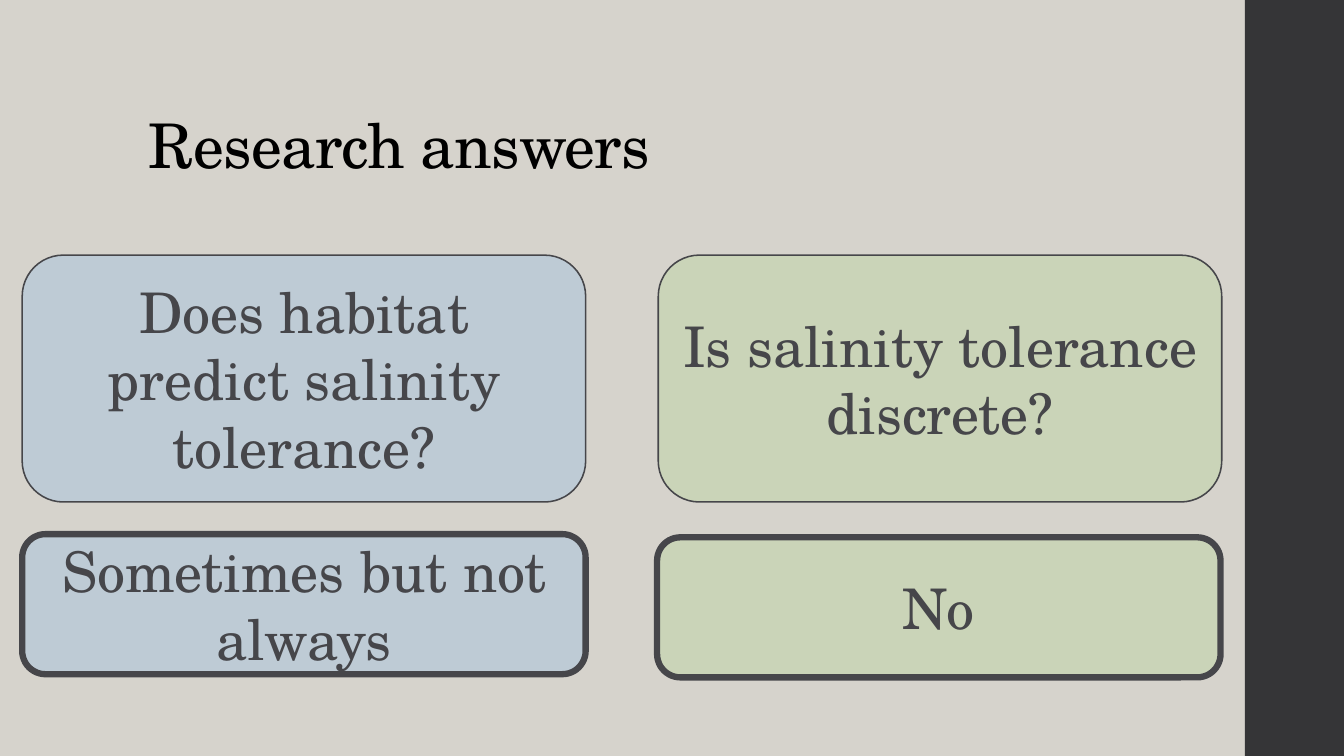
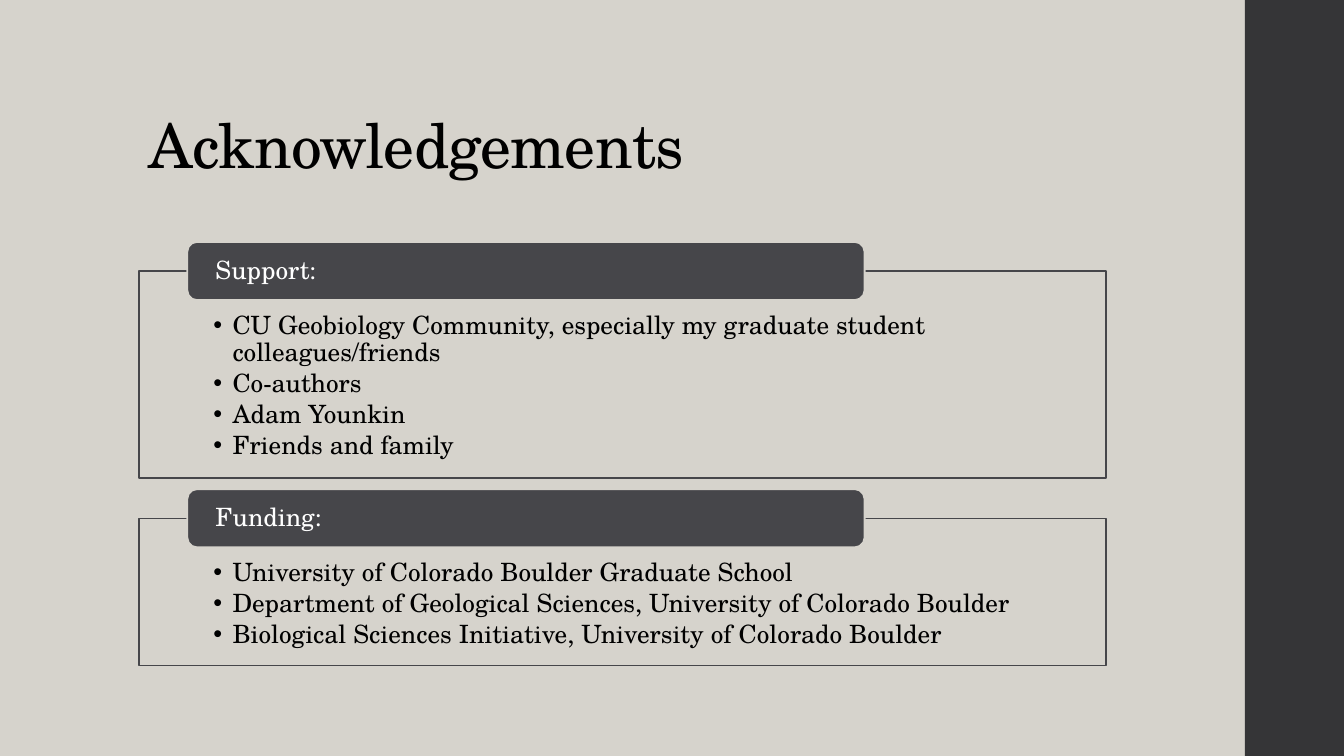
from dataclasses import dataclass

import pptx
import pptx.dml.color
import pptx.enum.shapes
import pptx.enum.text
import pptx.oxml
import pptx.oxml.ns
import pptx.util

Cm = pptx.util.Cm
Pt = pptx.util.Pt
Align = pptx.enum.text.PP_ALIGN
Anchor = pptx.enum.text.MSO_ANCHOR
Preset = pptx.enum.shapes.MSO_SHAPE


@dataclass(frozen=True)
class Theme:
    font: str = "TeX Gyre Schola"
    background: str = "D6D3CC"
    band: str = "353537"
    slate: str = "46464A"
    blue: str = "BECBD5"
    green: str = "CAD4B8"
    black: str = "000000"
    white: str = "FFFFFF"
    title_size: int = 44
    card_size: int = 40
    text_size: int = 18
    thin: float = 1.1
    pill_line: float = 1.35
    thick: float = 4.5


THEME = Theme()
TITLE_ONLY, TWO_CONTENT = 5, 3
WIDTH, HEIGHT = 33.87, 19.05
BAND_LEFT = 31.37
MARGIN = 3.5
FRAME_WIDTH = 24.38
PILL_OFFSET, PILL_WIDTH, PILL_HEIGHT = 1.22, 17.07, 1.47
CARD_WIDTH = 14.2


def rgb(value):
    return pptx.dml.color.RGBColor.from_string(value)


def place(shape, left, top, width, height):
    shape.left, shape.top = Cm(left), Cm(top)
    shape.width, shape.height = Cm(width), Cm(height)


def paint(shape, fill, line=None, line_width=0):
    shape.fill.solid()
    shape.fill.fore_color.rgb = rgb(fill)
    if line:
        shape.line.color.rgb = rgb(line)
        shape.line.width = Pt(line_width)
    else:
        shape.line.fill.background()


def set_insets(frame, left, top, right, bottom):
    frame.margin_left, frame.margin_top = Cm(left), Cm(top)
    frame.margin_right, frame.margin_bottom = Cm(right), Cm(bottom)


def style(paragraph, size, color, alignment=Align.LEFT, spacing=0.9):
    paragraph.alignment = alignment
    paragraph.line_spacing = spacing
    paragraph.space_before = Pt(0)
    paragraph.font.name = THEME.font
    paragraph.font.size = Pt(size)
    paragraph.font.color.rgb = rgb(color)


def add_bullet(paragraph):
    properties = paragraph._p.get_or_add_pPr()
    properties.set("marL", str(Cm(0.48)))
    properties.set("indent", str(-Cm(0.48)))
    bullet = pptx.oxml.parse_xml(
        f'<a:buChar {pptx.oxml.ns.nsdecls("a")} char="•"/>')
    properties.append(bullet)


def add_box(slide, preset, bounds, fill, line=None, line_width=0):
    shape = slide.shapes.add_shape(preset, *map(Cm, bounds))
    shape.shadow.inherit = False
    paint(shape, fill, line, line_width)
    return shape


def add_label(shape, text, size, color, alignment, spacing):
    frame = shape.text_frame
    frame.word_wrap = True
    frame.vertical_anchor = Anchor.MIDDLE
    frame.text = text
    style(frame.paragraphs[0], size, color, alignment, spacing)


def add_slide(presentation, layout, title):
    slide = presentation.slides.add_slide(presentation.slide_layouts[layout])
    shape = slide.shapes.title
    place(shape, MARGIN, 1.02, 26.92, 3.68)
    frame = shape.text_frame
    frame.text = title
    frame.auto_size = pptx.enum.text.MSO_AUTO_SIZE.NONE
    frame.vertical_anchor = Anchor.BOTTOM
    paragraph = frame.paragraphs[0]
    style(paragraph, THEME.title_size, THEME.black)
    paragraph._p.pPr.get_or_add_defRPr().set("spc", "-50")
    return slide


def add_card(slide, left, top, height, text, fill, line_width):
    card = add_box(slide, Preset.ROUNDED_RECTANGLE,
                   (left, top, CARD_WIDTH, height),
                   fill, THEME.slate, line_width)
    add_label(card, text, THEME.card_size, THEME.slate, Align.CENTER, 1.0)


def add_section(slide, body, top, height, heading, items):
    place(body, MARGIN, top, FRAME_WIDTH, height)
    paint(body, THEME.background, THEME.slate, THEME.thin)
    frame = body.text_frame
    frame.text = "\n".join(items)
    frame.auto_size = pptx.enum.text.MSO_AUTO_SIZE.NONE
    frame.vertical_anchor = Anchor.TOP
    set_insets(frame, 1.88, 1.04, 1.88, 0.36)
    for paragraph in frame.paragraphs:
        add_bullet(paragraph)
        style(paragraph, THEME.text_size, THEME.black)
        paragraph.space_after = Pt(2.7)

    pill = add_box(slide, Preset.ROUNDED_RECTANGLE,
                   (MARGIN + PILL_OFFSET, top - PILL_HEIGHT / 2,
                    PILL_WIDTH, PILL_HEIGHT),
                   THEME.slate, THEME.background, THEME.pill_line)
    set_insets(pill.text_frame, 0.64, 0, 0.64, 0)
    add_label(pill, heading, THEME.text_size, THEME.white, Align.LEFT, 0.9)


def set_master(presentation, slide):
    master = presentation.slide_master
    master.background.fill.solid()
    master.background.fill.fore_color.rgb = rgb(THEME.background)
    band = add_box(slide, Preset.RECTANGLE,
                   (BAND_LEFT, 0, WIDTH - BAND_LEFT, HEIGHT), THEME.band)
    master.shapes._spTree.insert(2, band._element)


def build_answers(presentation):
    slide = add_slide(presentation, TITLE_ONLY, "Research answers")
    cards = [
        (0.56, 6.43, 6.22, "Does habitat predict salinity tolerance?",
         THEME.blue, THEME.thin),
        (16.59, 6.43, 6.22, "Is salinity tolerance discrete?",
         THEME.green, THEME.thin),
        (0.56, 13.46, 3.53, "Sometimes but not always",
         THEME.blue, THEME.thick),
        (16.56, 13.54, 3.53, "No", THEME.green, THEME.thick),
    ]
    for card in cards:
        add_card(slide, *card)
    return slide


def build_acknowledgements(presentation):
    slide = add_slide(presentation, TWO_CONTENT, "Acknowledgements")
    sections = [
        (6.83, 5.21, "Support:", [
            "CU Geobiology Community, especially my graduate student "
            "colleagues/friends",
            "Co-authors",
            "Adam Younkin",
            "Friends and family",
        ]),
        (13.06, 3.71, "Funding:", [
            "University of Colorado Boulder Graduate School",
            "Department of Geological Sciences, University of Colorado Boulder",
            "Biological Sciences Initiative, University of Colorado Boulder",
        ]),
    ]
    for index, section in enumerate(sections, start=1):
        add_section(slide, slide.placeholders[index], *section)


def main():
    presentation = pptx.Presentation()
    presentation.slide_width, presentation.slide_height = Cm(WIDTH), Cm(HEIGHT)
    answers = build_answers(presentation)
    set_master(presentation, answers)
    build_acknowledgements(presentation)
    presentation.save("out.pptx")


if __name__ == "__main__":
    main()
